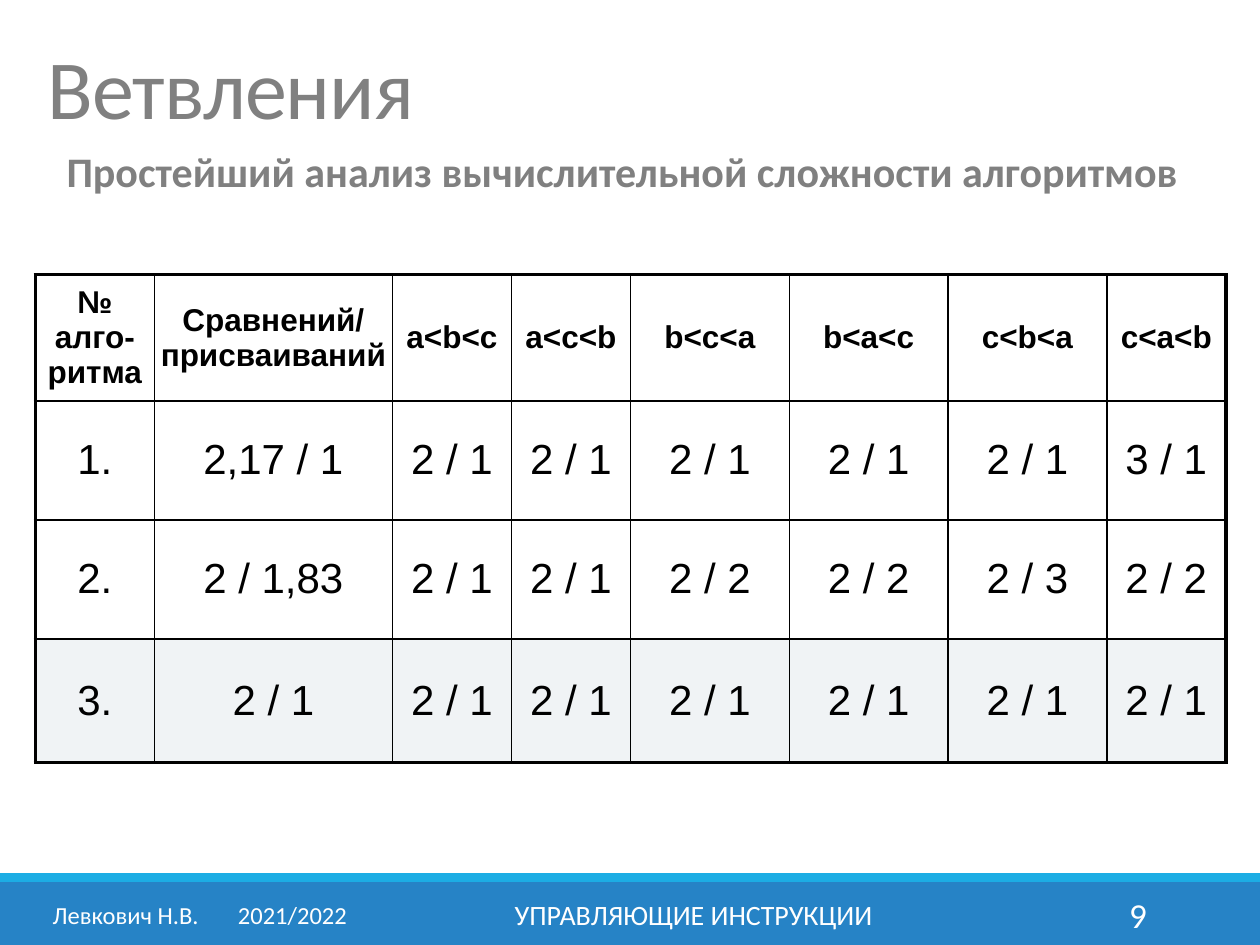
import pptx
import pptx.dml.color
import pptx.enum.shapes
import pptx.enum.text
import pptx.oxml
import pptx.oxml.ns
import pptx.util

ALIGN = pptx.enum.text.PP_ALIGN
ANCHOR = pptx.enum.text.MSO_ANCHOR
NAMESPACE = pptx.oxml.ns.nsdecls("a")

THEME = {
    "heading_font": "Calibri", "table_font": "Arial",
    "grey": "808080", "black": "000000", "white": "FFFFFF",
    "blue": "2683C6", "cyan": "1CADE4", "highlight": "F0F3F5",
    "title": 48, "subtitle": 24, "header": 18, "body": 24,
    "author": 14, "topic": 16, "number": 20,
    "outer_line": 2.25, "inner_line": 1,
}

deck = pptx.Presentation()
deck.slide_width = pptx.util.Inches(10)
deck.slide_height = pptx.util.Inches(7.5)
page = deck.slides.add_slide(deck.slide_layouts[6])


def area(left, top, width, height):
    """Turn percentages of the slide's width and height into lengths."""
    sizes = (deck.slide_width, deck.slide_height) * 2
    return [round(size * share / 100)
            for size, share in zip(sizes, (left, top, width, height))]


def style(para, font, size, color, bold=False, align=ALIGN.LEFT):
    para.alignment = align
    para.font.name = THEME[font]
    para.font.size = pptx.util.Pt(THEME[size])
    para.font.bold = bold
    para.font.color.rgb = pptx.dml.color.RGBColor.from_string(THEME[color])


# Footer bands
for top, height, color in ((93.33, 6.67, "blue"), (92.4, 0.93, "cyan")):
    band = page.shapes.add_shape(
        pptx.enum.shapes.MSO_SHAPE.RECTANGLE, *area(0, top, 100, height))
    band.shadow.inherit = False
    band.fill.solid()
    band.fill.fore_color.rgb = pptx.dml.color.RGBColor.from_string(THEME[color])
    band.line.fill.background()

# Headings and footer texts
FOOTER_TOP, FOOTER_HEIGHT = 94.13, 5.33
texts = (
    ("Ветвления", (2.8, 2.8, 95.3, 14.27),
     "title", "grey", False, ALIGN.LEFT, ANCHOR.MIDDLE),
    ("Простейший анализ вычислительной сложности алгоритмов", (4.3, 15.33, 91, 7.33),
     "subtitle", "grey", True, ALIGN.LEFT, ANCHOR.TOP),
    ("Левкович Н.В.\t2021/2022", (3.2, FOOTER_TOP, 26.1, FOOTER_HEIGHT),
     "author", "white", False, ALIGN.LEFT, ANCHOR.MIDDLE),
    ("УПРАВЛЯЮЩИЕ ИНСТРУКЦИИ", (30.2, FOOTER_TOP, 49.7, FOOTER_HEIGHT),
     "topic", "white", False, ALIGN.CENTER, ANCHOR.MIDDLE),
    ("9", (81.2, FOOTER_TOP, 10.8, FOOTER_HEIGHT),
     "number", "white", False, ALIGN.RIGHT, ANCHOR.MIDDLE),
)
paras = {}
for text, place, size, color, bold, align, anchor in texts:
    box = page.shapes.add_textbox(*area(*place))
    box.text_frame.word_wrap = True
    box.text_frame.vertical_anchor = anchor
    box.text_frame.text = text
    paras[size] = box.text_frame.paragraphs[0]
    style(paras[size], "heading_font", size, color, bold, align)

paras["title"].line_spacing = 0.85
paras["title"].runs[0].font._element.set("spc", "-50")
paras["subtitle"].line_spacing = 0.9
paras["subtitle"].space_before = pptx.util.Pt(THEME["subtitle"] * 0.2)
hanging = paras["subtitle"]._p.get_or_add_pPr()
hanging.set("marL", str(pptx.util.Inches(0.5)))
hanging.set("indent", str(pptx.util.Inches(-0.5)))
paras["author"]._p.get_or_add_pPr().insert(0, pptx.oxml.parse_xml(
    f'<a:tabLst {NAMESPACE}><a:tab pos="{pptx.util.Inches(1.47)}" algn="l"/></a:tabLst>'))

# Comparison table
rows = (
    ("№ алго-ритма", "Сравнений/\vприсваиваний",
     "a<b<c", "a<c<b", "b<c<a", "b<a<c", "c<b<a", "c<a<b"),
    ("1.", "2,17 / 1", "2 / 1", "2 / 1", "2 / 1", "2 / 1", "2 / 1", "3 / 1"),
    ("2.", "2 / 1,83", "2 / 1", "2 / 1", "2 / 2", "2 / 2", "2 / 3", "2 / 2"),
    ("3.",) + ("2 / 1",) * 7,
)
column_units = (3, 6, 3, 3, 4, 4, 4, 3)
row_shares = (13.3, 12.6, 12.6, 13.1)
last_row, last_column = len(rows) - 1, len(column_units) - 1
place = area(2.8, 29.07, 94.5, sum(row_shares))
table = page.shapes.add_table(len(rows), len(column_units), *place).table
table.first_row = table.horz_banding = False
for column, units in zip(table.columns, column_units):
    column.width = round(place[2] * units / sum(column_units))
for row, share in zip(table.rows, row_shares):
    row.height = round(deck.slide_height * share / 100)

for r, values in enumerate(rows):
    for c, value in enumerate(values):
        cell = table.cell(r, c)
        cell.text = value
        cell.vertical_anchor = ANCHOR.MIDDLE
        narrow = r == 0 and c < 2
        cell.margin_left = cell.margin_right = pptx.util.Inches(0.04 if narrow else 0.1)
        size = "header" if r == 0 else "body"
        para = cell.text_frame.paragraphs[0]
        style(para, "table_font", size, "black", r == 0, ALIGN.CENTER)
        para.space_before = pptx.util.Pt(THEME[size] * 0.2)

        edges = {"L": c == 0, "R": c == last_column, "T": r == 0, "B": r == last_row}
        for side, outer in edges.items():
            width = pptx.util.Pt(THEME["outer_line" if outer else "inner_line"])
            cell._tc.get_or_add_tcPr().append(pptx.oxml.parse_xml(
                f'<a:ln{side} {NAMESPACE} w="{width}"><a:solidFill>'
                f'<a:srgbClr val="{THEME["black"]}"/></a:solidFill></a:ln{side}>'))
        if r == last_row:
            cell.fill.solid()
            cell.fill.fore_color.rgb = pptx.dml.color.RGBColor.from_string(THEME["highlight"])
        else:
            cell.fill.background()

deck.save("out.pptx")
